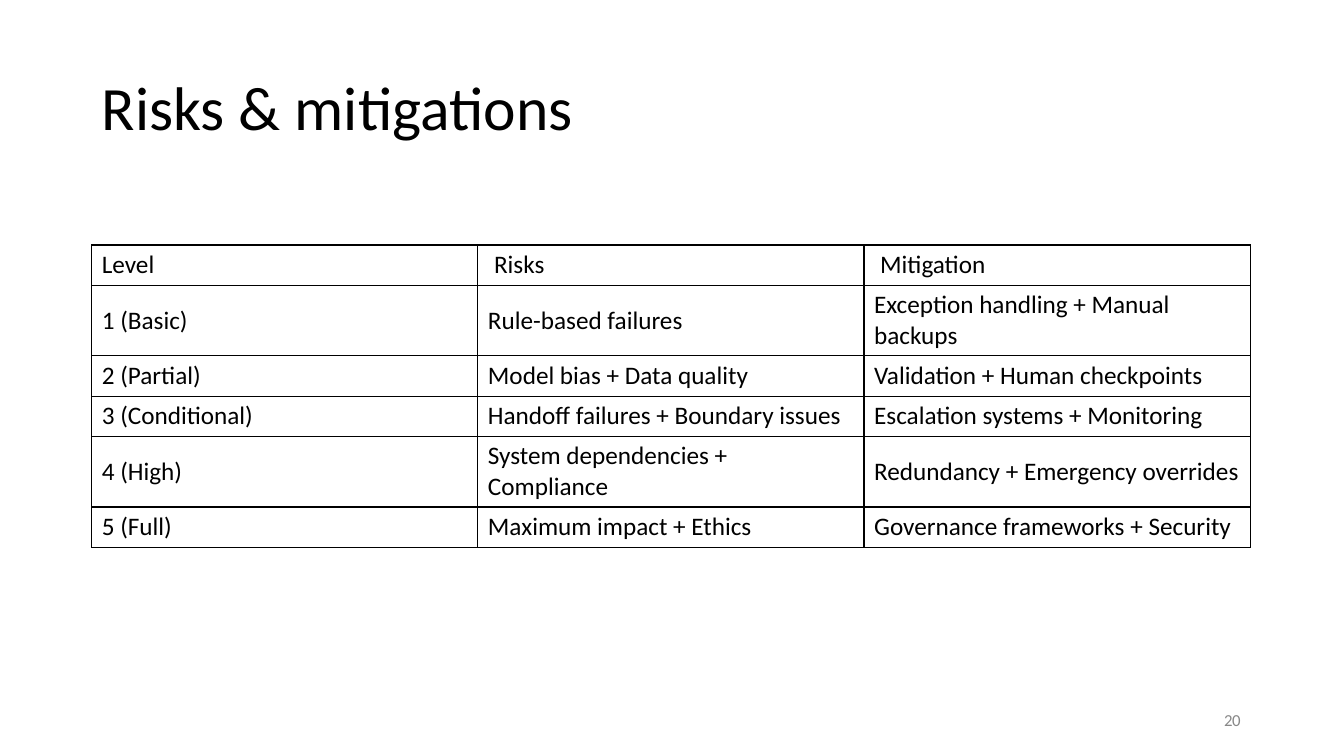
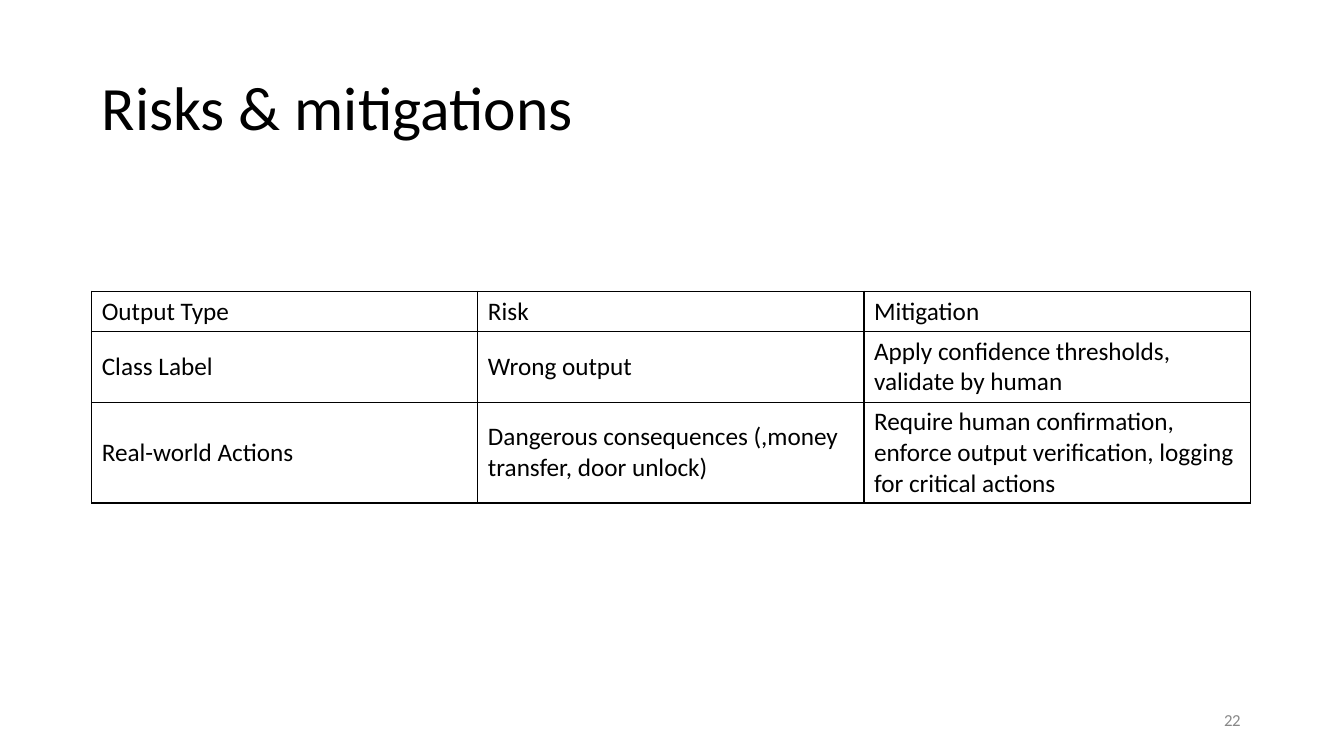
from lxml.etree import SubElement
from pptx import Presentation
from pptx.dml.color import RGBColor
from pptx.enum.text import MSO_ANCHOR, MSO_AUTO_SIZE, PP_ALIGN
from pptx.oxml import parse_xml
from pptx.oxml.ns import nsdecls, qn
from pptx.util import Inches, Pt

LEVEL_RISKS = [
    ["Level", "Risks", "Mitigation"],
    ["1 (Basic)", "Rule-based failures", "Exception handling + Manual backups"],
    ["2 (Partial)", "Model bias + Data quality", "Validation + Human checkpoints"],
    ["3 (Conditional)", "Handoff failures + Boundary issues",
     "Escalation systems + Monitoring"],
    ["4 (High)", "System dependencies +\nCompliance",
     "Redundancy + Emergency overrides"],
    ["5 (Full)", "Maximum impact + Ethics", "Governance frameworks + Security"],
]
OUTPUT_RISKS = [
    ["Output Type", "Risk", "Mitigation"],
    ["Class Label", "Wrong output",
     "Apply confidence thresholds, validate by human"],
    ["Real-world Actions",
     "Dangerous consequences (,money\ntransfer, door unlock)",
     "Require human confirmation, enforce output verification, logging "
     "for critical actions"],
]


def color(value):
    return RGBColor.from_string(value)


def write(tf, text, size=18, fill="000000", font="Calibri", align=PP_ALIGN.LEFT,
          leading=None, spacing=0):
    """Fill a text frame, one paragraph per line of text."""
    tf.word_wrap = True
    for i, line in enumerate(text.split("\n")):
        p = tf.add_paragraph() if i else tf.paragraphs[0]
        p.alignment = align
        if leading:
            p.line_spacing = Pt(leading)
        r = p.add_run()
        r.text = line
        r.font.name, r.font.size = font, Pt(size)
        r.font.color.rgb = color(fill)
        if spacing:
            r.font._element.set("spc", str(round(spacing * 100)))


def set_margins(box, left=0, top=0, right=0, bottom=0):
    box.margin_left, box.margin_top = Inches(left), Inches(top)
    box.margin_right, box.margin_bottom = Inches(right), Inches(bottom)


class Deck:
    """Shared style and the slide being built."""
    WIDTH, HEIGHT = 13.33, 7.5
    TITLE = (1, 0.67, 11.33, 0.76)
    NUMBER = (12.1, 7.07, 0.27, 0.2)
    LINE, MUTED = "000000", "888888"
    TABLE_LEFT, COLUMN = 0.91, 3.83
    PADDING = 0.1

    def __init__(self):
        self.prs = Presentation()
        self.prs.slide_width = Inches(self.WIDTH)
        self.prs.slide_height = Inches(self.HEIGHT)
        self.s = None

    def slide(self, title, number):
        self.s = self.prs.slides.add_slide(self.prs.slide_layouts[5])
        self.title(title)
        self.number(number)

    def title(self, text):
        sp = self.s.shapes.title
        sp.left, sp.top, sp.width, sp.height = map(Inches, self.TITLE)
        tf = sp.text_frame
        set_margins(tf, left=0.01, top=0.01)
        tf.auto_size = MSO_AUTO_SIZE.NONE
        tf.vertical_anchor = MSO_ANCHOR.TOP
        write(tf, text, size=44)

    def number(self, value):
        sp = self.s.shapes.add_textbox(*map(Inches, self.NUMBER))
        set_margins(sp.text_frame, left=0.04)
        write(sp.text_frame, str(value), size=12, fill=self.MUTED,
              leading=12.4, spacing=-0.2)

    def table(self, top, heights, rows, header_indent=0):
        columns = len(rows[0])
        frame = self.s.shapes.add_table(
            len(rows), columns, Inches(self.TABLE_LEFT), Inches(top),
            Inches(self.COLUMN * columns), Inches(sum(heights)))
        table = frame.table
        table.first_row = table.horz_banding = False
        for column in table.columns:
            column.width = Inches(self.COLUMN)
        for i, (height, row) in enumerate(zip(heights, rows)):
            table.rows[i].height = Inches(height)
            for j, text in enumerate(row):
                extra = header_indent if i == 0 and j else 0
                self.cell(table.cell(i, j), text, self.PADDING + extra)

    def cell(self, cell, text, indent):
        set_margins(cell, left=indent, top=0.03, bottom=0.03)
        cell.vertical_anchor = MSO_ANCHOR.MIDDLE
        cell.fill.background()
        write(cell.text_frame, text)
        # Borders come before the fill in the cell properties
        props = cell._tc.get_or_add_tcPr()
        for i, side in enumerate("LRTB"):
            ln = parse_xml(f'<a:ln{side} {nsdecls("a")} w="{Pt(1)}"/>')
            solid = SubElement(ln, qn("a:solidFill"))
            SubElement(solid, qn("a:srgbClr"), val=self.LINE)
            props.insert(i, ln)


def main():
    deck = Deck()
    title = "Risks & mitigations"

    # Risks by automation level
    deck.slide(title, 20)
    deck.table(2.43, [0.4, 0.7, 0.4, 0.4, 0.7, 0.4], LEVEL_RISKS,
               header_indent=0.06)

    # Risks by output type
    deck.slide(title, 22)
    deck.table(2.89, [0.4, 0.7, 1], OUTPUT_RISKS)

    deck.prs.save("out.pptx")


if __name__ == "__main__":
    main()
